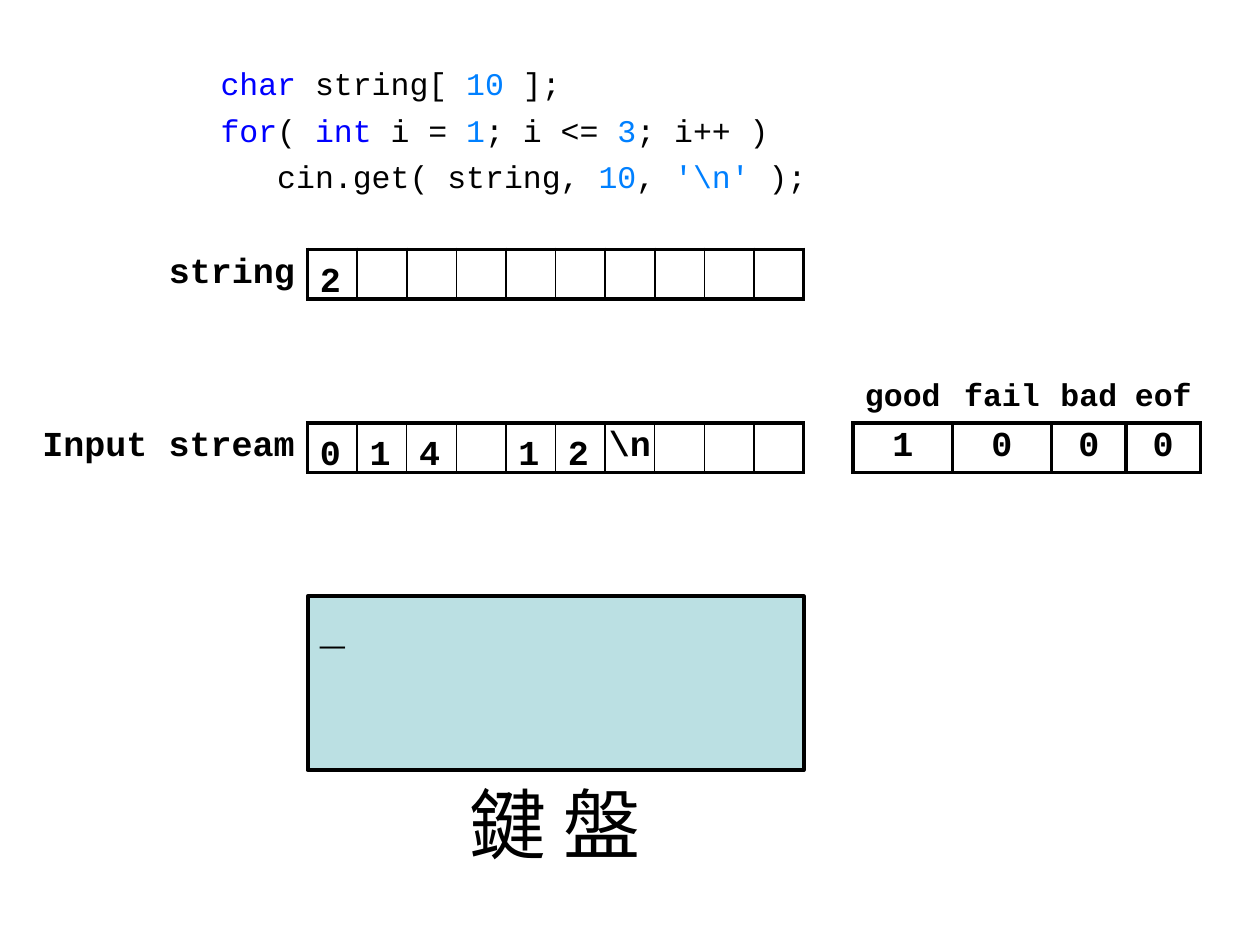
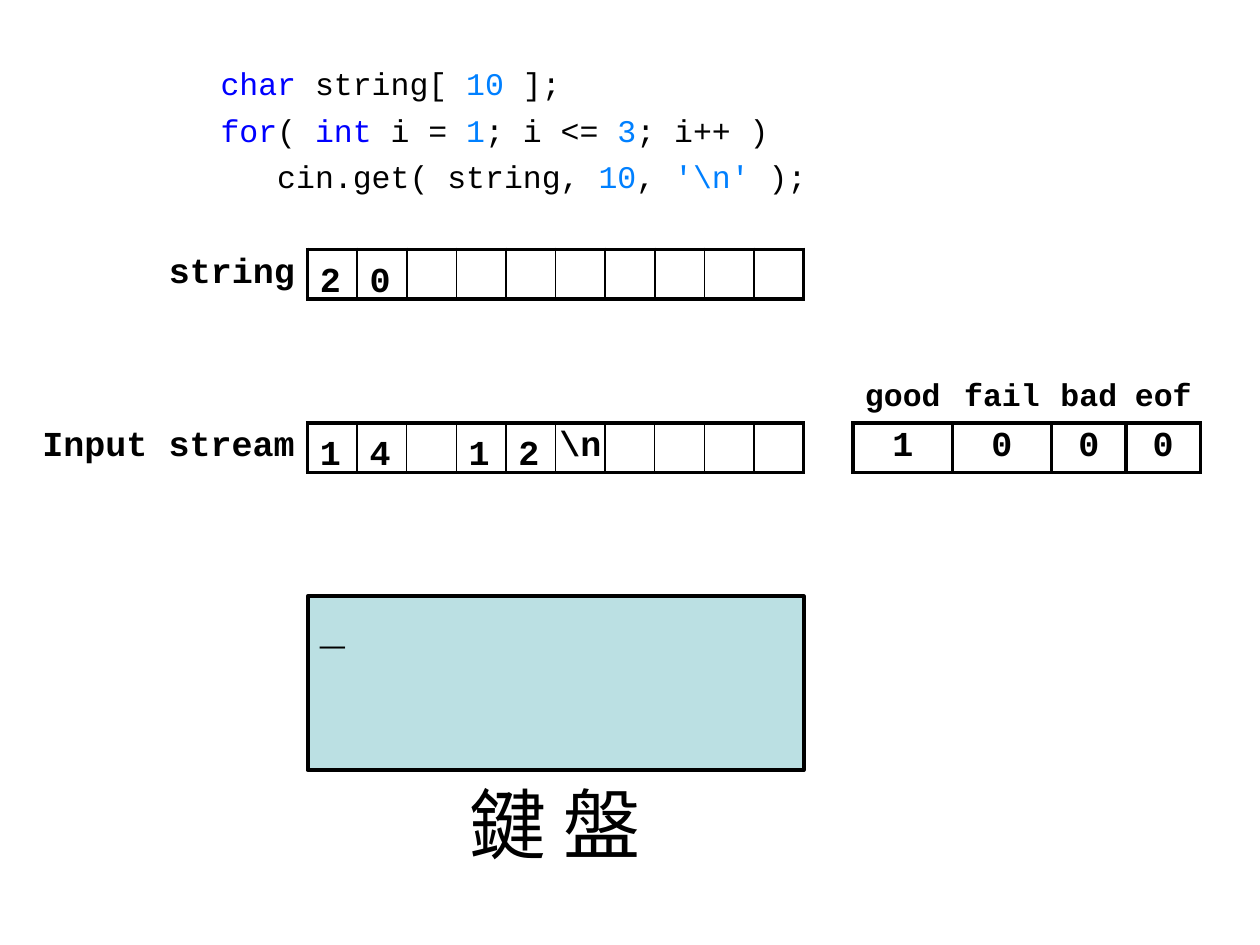
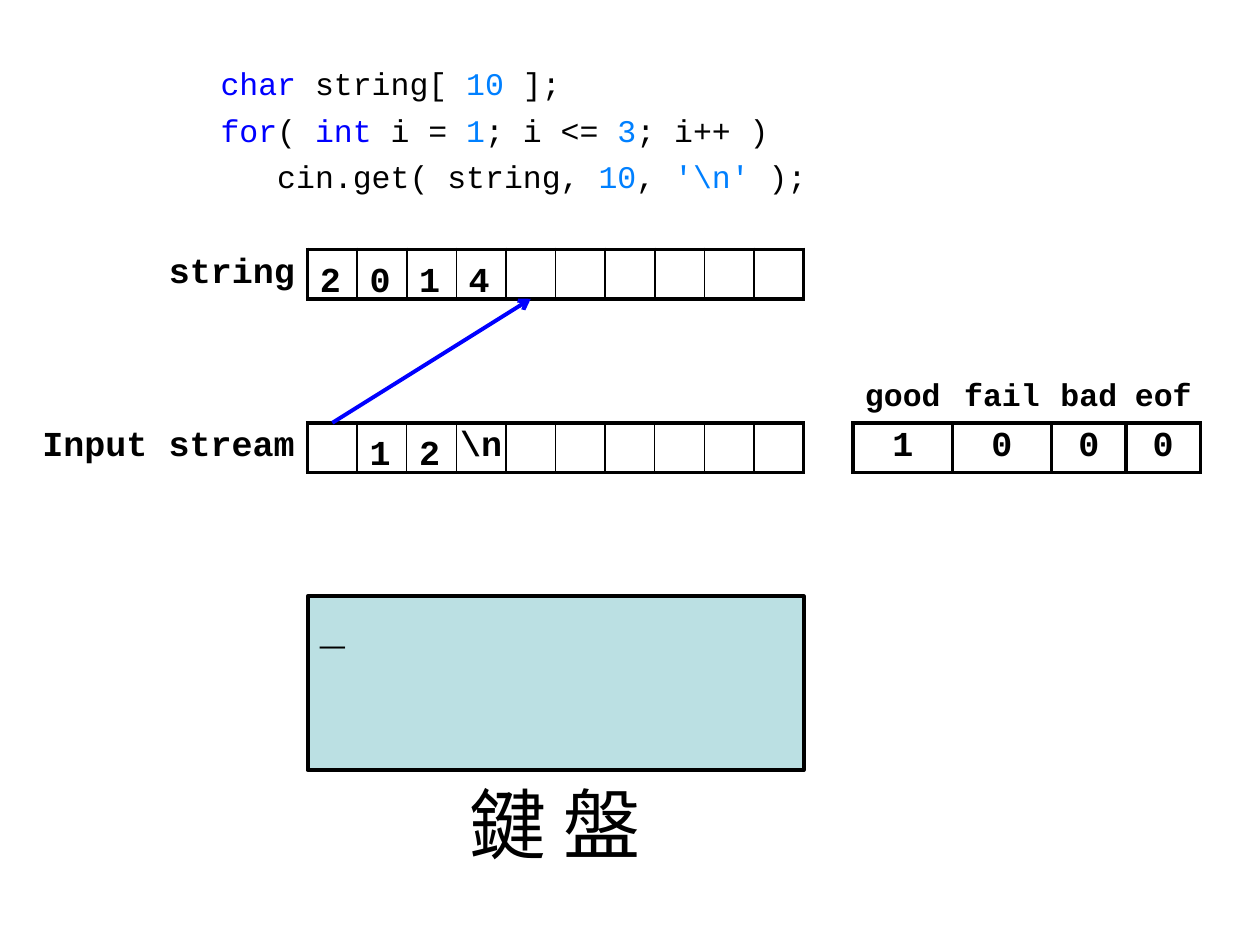
from dataclasses import dataclass
from typing import NamedTuple, Optional, Sequence, Union

import pptx
import pptx.dml.color
import pptx.enum.shapes
import pptx.enum.text
import pptx.oxml
import pptx.oxml.ns
import pptx.util
from lxml import etree

Pt = pptx.util.Pt
qn = pptx.oxml.ns.qn
ALIGN = pptx.enum.text.PP_ALIGN
ANCHOR = pptx.enum.text.MSO_ANCHOR


@dataclass(frozen=True)
class Theme:
    black: str = "000000"
    keyword: str = "0000FF"
    literal: str = "0080FF"
    screen: str = "BBE0E3"
    mono: str = "Courier New"
    cjk: str = "Noto Sans CJK SC"
    code_size: float = 18
    cell_size: float = 20
    cursor_size: float = 24
    caption_size: float = 44
    heavy: float = 2.25
    thin: float = 1


class Run(NamedTuple):
    text: str
    color: str


class Box(NamedTuple):
    left: float
    top: float
    width: float
    height: float

    def lengths(self) -> list[int]:
        return [Pt(v) for v in self]


class Insets(NamedTuple):
    left: float = 7.2
    top: float = 3.6
    right: float = 7.2
    bottom: float = 3.6


class Flag(NamedTuple):
    name: str
    value: str
    cells_wide: float


class Step(NamedTuple):
    """Buffer contents at one moment, and the cells (stream, string) the arrow joins."""
    string: Sequence[str]
    stream: Sequence[str]
    arrow: Optional[tuple[int, int]] = None


THEME = Theme()
NO_INSETS = Insets(0, 0, 0, 0)
NO_TABLE_STYLE = "{2D5ABB26-0587-4C30-8999-92F81FD0307C}"

CELL = 28.35
CELL_COUNT = 10
BUFFER_LEFT = 175.75
STRING_TOP = 142.4
STREAM_TOP = STRING_TOP + 3.5 * CELL
SCREEN = Box(BUFFER_LEFT, STREAM_TOP + 3.5 * CELL, CELL_COUNT * CELL, 3.5 * CELL)
CAPTION = Box(246.25, 440, 142, 71)
CODE = Box(118.8, 28.8, 354.25, 85)
CODE_GAP = 4.75

FLAGS = [Flag("good", "1", 2), Flag("fail", "0", 2), Flag("bad", "0", 1.5), Flag("eof", "0", 1.5)]

K, N, B = THEME.keyword, THEME.literal, THEME.black
CODE_LINES = [
    [Run("char", K), Run(" string[ ", B), Run("10", N), Run(" ];", B)],
    [Run("for", K), Run("( ", B), Run("int", K), Run(" i = ", B), Run("1", N),
     Run("; i <= ", B), Run("3", N), Run("; i++ )", B)],
    [Run("   cin.get( string, ", B), Run("10", N), Run(", ", B), Run(r"'\n'", N), Run(" );", B)],
]

STEPS = [
    Step("2", [*"014 12", r"\n"]),
    Step("20", [*"14 12", r"\n"]),
    Step("2014", [*" 12", r"\n"], arrow=(0, 4)),
]


def rgb(color: str) -> pptx.dml.color.RGBColor:
    return pptx.dml.color.RGBColor.from_string(color)


def write(tf, *lines: Union[str, Sequence[Run]], size: float = THEME.cell_size, bold: bool = True,
          font: str = THEME.mono, align=ALIGN.LEFT, gap: float = 0) -> None:
    """Fill a text frame with unbulleted paragraphs, `gap` points apart."""
    for i, line in enumerate(lines):
        p = tf.add_paragraph() if i else tf.paragraphs[0]
        pPr = p._p.get_or_add_pPr()
        pPr.set("marL", "0")
        pPr.set("indent", "0")
        etree.SubElement(pPr, qn("a:buNone"))
        p.alignment = align
        p.space_before = Pt(gap if i else 0)
        for run in [Run(line, THEME.black)] if isinstance(line, str) else line:
            r = p.add_run()
            r.text = run.text
            r.font.size, r.font.bold, r.font.name = Pt(size), bold, font
            r.font.color.rgb = rgb(run.color)
            etree.SubElement(r._r.get_or_add_rPr(), qn("a:ea"), typeface=font)


def set_frame(tf, insets: Insets = Insets(), anchor=ANCHOR.TOP, wrap: bool = True) -> None:
    tf.auto_size = pptx.enum.text.MSO_AUTO_SIZE.NONE
    tf.word_wrap = wrap
    tf.vertical_anchor = anchor
    tf.margin_left, tf.margin_top, tf.margin_right, tf.margin_bottom = [Pt(v) for v in insets]


def set_borders(cell, left: float, right: float, top: float, bottom: float) -> None:
    """Give each side of a cell a line of that weight; zero means no line."""
    tcPr = cell._tc.get_or_add_tcPr()
    for i, (side, weight) in enumerate(zip("LRTB", (left, right, top, bottom))):
        ln = etree.Element(qn(f"a:ln{side}"), w=str(Pt(weight)))
        if weight:
            fill = etree.SubElement(ln, qn("a:solidFill"))
            etree.SubElement(fill, qn("a:srgbClr"), val=THEME.black)
        else:
            etree.SubElement(ln, qn("a:noFill"))
        tcPr.insert(i, ln)


def add_plain_table(slide, left: float, top: float, widths: Sequence[float], rows: int):
    """Add a table without style, whose rows are one cell unit high."""
    frame = slide.shapes.add_table(rows, len(widths), *Box(left, top, sum(widths), rows * CELL).lengths())
    for style in frame.element.iter(qn("a:tableStyleId")):
        style.text = NO_TABLE_STYLE
    table = frame.table
    table.first_row = table.horz_banding = False
    for column, width in zip(table.columns, widths):
        column.width = Pt(width)
    for row in table.rows:
        row.height = Pt(CELL)
    for cell in table.iter_cells():
        cell.fill.background()
        cell.vertical_anchor = ANCHOR.MIDDLE
        cell.margin_left = cell.margin_right = cell.margin_top = cell.margin_bottom = 0
    return table


def add_buffer_table(slide, label: str, label_cells: float, top: float, newline_at: Optional[int] = None,
                     flags: Sequence[Flag] = ()) -> None:
    """Draw a labelled row of cells, with status flags under a heading row if there are any."""
    widths = [label_cells * CELL] + [CELL] * CELL_COUNT
    edges = [0, THEME.heavy] + [THEME.thin] * (CELL_COUNT - 1) + [THEME.heavy]
    weights = [0] + [THEME.heavy] * CELL_COUNT
    if flags:
        widths += [CELL] + [flag.cells_wide * CELL for flag in flags]
        edges += [THEME.heavy] * (len(flags) + 1)
        weights += [0] + [THEME.heavy] * len(flags)
    last = 1 if flags else 0
    table = add_plain_table(slide, BUFFER_LEFT - widths[0], top - last * CELL, widths, last + 1)
    for c, weight in enumerate(weights):
        set_borders(table.cell(last, c), edges[c], edges[c + 1], weight, weight)
        if flags:
            set_borders(table.cell(0, c), 0, 0, 0, weight)
    label_cell = table.cell(last, 0)
    label_cell.margin_right = Pt(7.2)
    write(label_cell.text_frame, label, align=ALIGN.RIGHT)
    if newline_at is not None:
        write(table.cell(last, newline_at + 1).text_frame, r"\n", align=ALIGN.CENTER)
    for c, flag in enumerate(flags, CELL_COUNT + 2):
        write(table.cell(0, c).text_frame, flag.name, size=THEME.code_size, align=ALIGN.CENTER)
        write(table.cell(last, c).text_frame, flag.value, align=ALIGN.CENTER)


def add_digits(slide, chars: Sequence[str], top: float) -> None:
    for i, char in enumerate(chars):
        if char.isdigit():
            box = slide.shapes.add_textbox(*Box(BUFFER_LEFT + i * CELL, top, CELL, CELL).lengths())
            set_frame(box.text_frame, Insets(top=4.6, bottom=0), ANCHOR.MIDDLE)
            write(box.text_frame, char)


def add_screen(slide) -> None:
    sp = slide.shapes.add_shape(pptx.enum.shapes.MSO_SHAPE.RECTANGLE, *SCREEN.lengths())
    sp.shadow.inherit = False
    sp.fill.solid()
    sp.fill.fore_color.rgb = rgb(THEME.screen)
    sp.line.color.rgb = rgb(THEME.black)
    sp.line.width = Pt(THEME.heavy)
    set_frame(sp.text_frame)
    write(sp.text_frame, "_", size=THEME.cursor_size)


def add_arrow(slide, stream_cell: int, string_cell: int) -> None:
    x1, x2 = [BUFFER_LEFT + (i + 0.5) * CELL for i in (stream_cell, string_cell)]
    line = slide.shapes.add_connector(pptx.enum.shapes.MSO_CONNECTOR.STRAIGHT,
                                      Pt(x1), Pt(STREAM_TOP), Pt(x2), Pt(STRING_TOP + CELL))
    line.line.color.rgb = rgb(THEME.keyword)
    line.line.width = Pt(THEME.heavy)
    etree.SubElement(line.line._get_or_add_ln(), qn("a:tailEnd"), type="arrow")
    etree.SubElement(line.element.spPr, qn("a:effectLst"))


def add_code(slide) -> None:
    body = slide.placeholders[1]
    body.left, body.top, body.width, body.height = CODE.lengths()
    set_frame(body.text_frame, Insets(top=8, right=5.75))
    write(body.text_frame, *CODE_LINES, size=THEME.code_size, bold=False, gap=CODE_GAP)


def add_layout_caption(layout, slide) -> None:
    """Make the keyboard caption on a slide and move it to the shared layout."""
    box = slide.shapes.add_textbox(*CAPTION.lengths())
    set_frame(box.text_frame, wrap=False)
    write(box.text_frame, "鍵 盤", size=THEME.caption_size, bold=False, font=THEME.cjk, align=ALIGN.CENTER)
    layout.shapes.element.append(box.element)


def add_step(prs, layout, step: Step):
    slide = prs.slides.add_slide(layout)
    title = slide.shapes.title.element
    title.getparent().remove(title)
    add_code(slide)
    add_buffer_table(slide, "Input stream", 5.5, STREAM_TOP, step.stream.index(r"\n"), FLAGS)
    add_buffer_table(slide, "string", 3, STRING_TOP)
    add_screen(slide)
    add_digits(slide, step.string, STRING_TOP)
    add_digits(slide, step.stream, STREAM_TOP)
    if step.arrow:
        add_arrow(slide, *step.arrow)
    return slide


def main() -> None:
    prs = pptx.Presentation()
    prs.slide_width, prs.slide_height = Pt(720), Pt(540)
    layout = prs.slide_layouts[1]
    slides = [add_step(prs, layout, step) for step in STEPS]
    add_layout_caption(layout, slides[0])
    prs.save("out.pptx")


if __name__ == "__main__":
    main()
